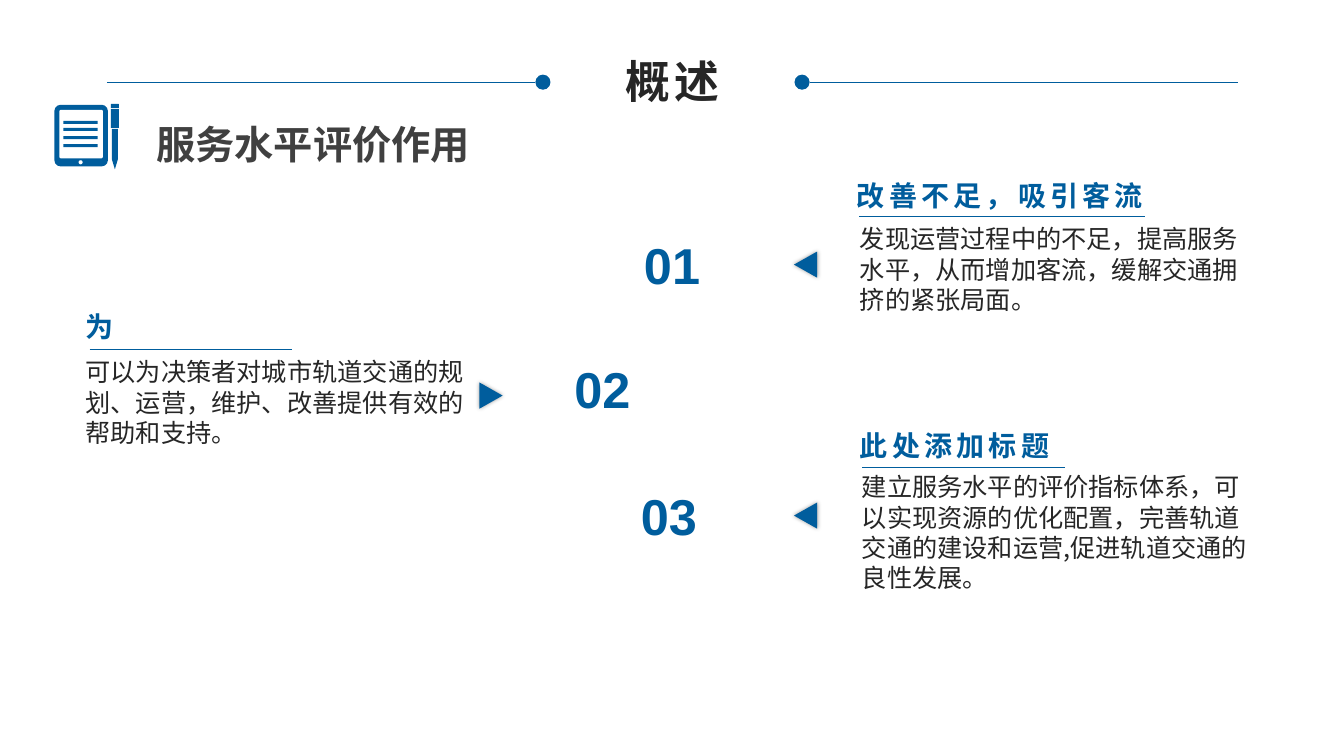
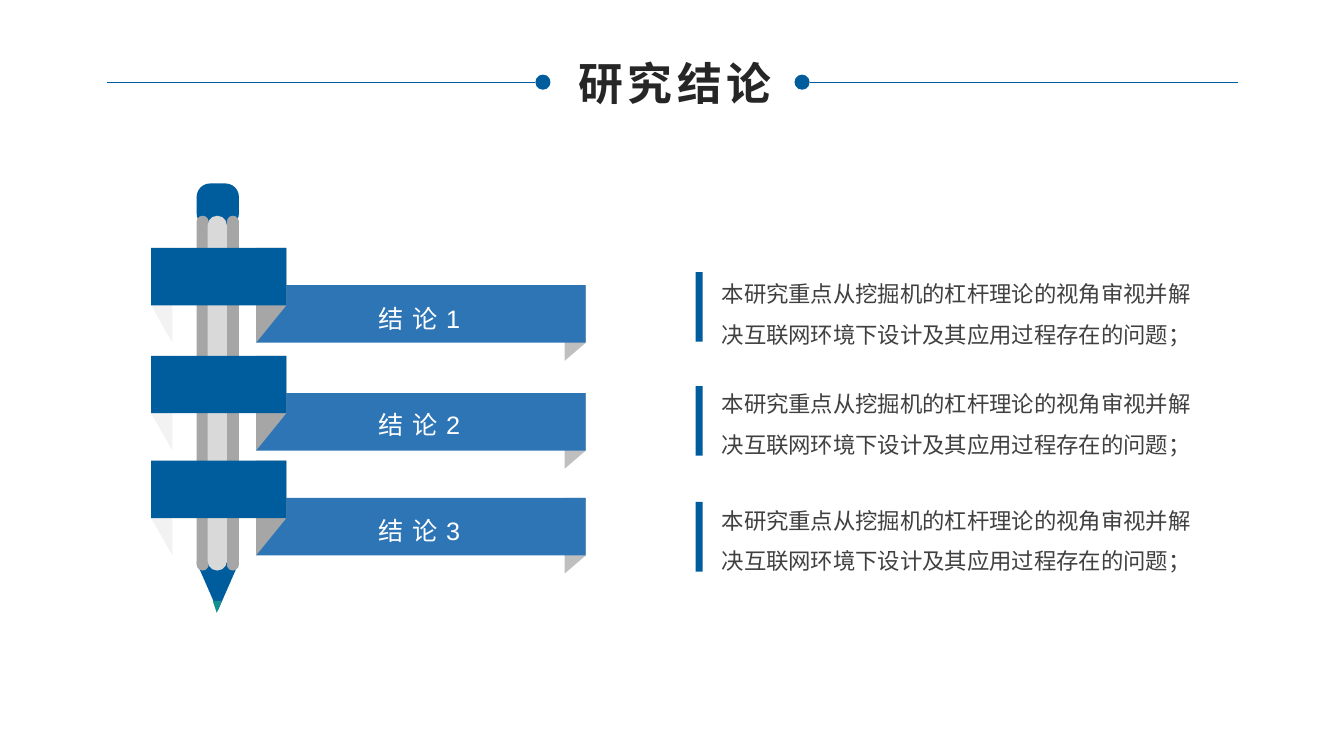
from dataclasses import dataclass

from lxml.etree import SubElement
from pptx import Presentation
from pptx.dml.color import RGBColor
from pptx.enum.shapes import MSO_CONNECTOR, MSO_SHAPE
from pptx.enum.text import MSO_ANCHOR, MSO_AUTO_SIZE, PP_ALIGN
from pptx.oxml.ns import qn
from pptx.shapes.autoshape import Shape
from pptx.slide import Slide
from pptx.util import Emu, Pt

PX = 9144  # EMU per px, 100 px to the inch
BLUE = RGBColor(0x00, 0x5D, 0x9D)
RIBBON_BLUE = RGBColor(0x2E, 0x75, 0xB6)
TEAL = RGBColor(0x13, 0x91, 0x8D)
INK = RGBColor(0x26, 0x26, 0x26)
DARK_GRAY = RGBColor(0x40, 0x40, 0x40)
FOLD_GRAY = RGBColor(0xA6, 0xA6, 0xA6)
TAIL_GRAY = RGBColor(0xBF, 0xBF, 0xBF)
LIGHT_GRAY = RGBColor(0xD9, 0xD9, 0xD9)
PALE_GRAY = RGBColor(0xF2, 0xF2, 0xF2)
WHITE = RGBColor(0xFF, 0xFF, 0xFF)
LATIN = "Arial"
CHINESE = "Noto Sans CJK SC"

Box = tuple[int, int, int, int]
Position = tuple[int, int]


@dataclass(frozen=True)
class TextStyle:
    size: int
    color: RGBColor
    font: str = CHINESE
    bold: bool = False
    tracking: int = 0
    align: PP_ALIGN = PP_ALIGN.LEFT
    line_spacing: float = 1.0
    wrap: bool = True


TITLE = TextStyle(32, INK, LATIN, True, 3, PP_ALIGN.CENTER, wrap=False)
SUBTITLE = TextStyle(28, DARK_GRAY, bold=True, align=PP_ALIGN.CENTER)
NUMBER = TextStyle(36, BLUE, LATIN, True, align=PP_ALIGN.CENTER, wrap=False)
HEADING = TextStyle(20, BLUE, LATIN, True, 3, wrap=False)
BODY = TextStyle(18, INK)
RIBBON_LABEL = TextStyle(18, WHITE, LATIN, tracking=6)
CONCLUSION_BODY = TextStyle(16, DARK_GRAY, line_spacing=1.5)


@dataclass(frozen=True)
class Benefit:
    number: str
    number_at: Position
    arrow_at: Position
    arrow_turn: int
    heading: str
    heading_box: Box
    underline_at: Position
    underline_width: int
    body: str
    body_box: Box


@dataclass(frozen=True)
class Conclusion:
    label: str
    ribbon_top: int
    label_top: int
    bar_top: int
    body_top: int


BENEFITS = (
    Benefit("01", (624, 227), (786, 251), 270,
            "改善不足，吸引客流", (840, 172, 311, 44), (852, 214), 284,
            "发现运营过程中的不足，提高服务水平，从而增加客流，缓解交通拥挤的紧张局面。",
            (843, 217, 417, 101)),
    Benefit("02", (555, 350), (474, 381), 90,
            "为", (75, 302, 52, 44), (89, 346), 201,
            "可以为决策者对城市轨道交通的规划、运营，维护、改善提供有效的帮助和支持。",
            (75, 349, 402, 101)),
    Benefit("03", (621, 476), (786, 500), 270,
            "此处添加标题", (843, 420, 215, 44), (855, 463), 201,
            "建立服务水平的评价指标体系，可以实现资源的优化配置，完善轨道交通的建设和运营,"
            "促进轨道交通的良性发展。",
            (845, 463, 417, 131)),
)
CONCLUSION_TEXT = "本研究重点从挖掘机的杠杆理论的视角审视并解决互联网环境下设计及其应用过程存在的问题；"
CONCLUSIONS = (
    Conclusion("结论1", 246, 296, 270, 260),
    Conclusion("结论2", 353, 401, 383, 369),
    Conclusion("结论3", 457, 506, 498, 485),
)


def place(shape: Shape, box: Box) -> None:
    shape.left, shape.top, shape.width, shape.height = (Emu(v * PX) for v in box)


def write(shape: Shape, text: str, style: TextStyle) -> None:
    frame = shape.text_frame
    frame.text = text
    frame.word_wrap = style.wrap
    frame.auto_size = MSO_AUTO_SIZE.NONE
    frame.vertical_anchor = MSO_ANCHOR.TOP
    para = frame.paragraphs[0]
    para.alignment = style.align
    para.line_spacing = style.line_spacing
    for span in para.runs:
        span.font.size = Pt(style.size)
        span.font.bold = style.bold
        span.font.color.rgb = style.color
        span.font.name = style.font
        properties = span.font._element
        SubElement(properties, qn("a:ea")).set("typeface", CHINESE)
        if style.tracking:
            properties.set("spc", str(style.tracking * 100))


def add_text(page: Slide, box: Box, text: str, style: TextStyle) -> None:
    shape = page.shapes.add_textbox(0, 0, 0, 0)
    place(shape, box)
    write(shape, text, style)


def paint(shape: Shape, color: RGBColor) -> Shape:
    shape.shadow.inherit = False
    shape.fill.solid()
    shape.fill.fore_color.rgb = color
    shape.line.fill.background()
    return shape


def add_figure(page: Slide, kind: MSO_SHAPE, box: Box, color: RGBColor) -> Shape:
    shape = page.shapes.add_shape(kind, *(Emu(v * PX) for v in box))
    return paint(shape, color)


def add_rounded(page: Slide, box: Box, color: RGBColor, rounding: float) -> None:
    shape = add_figure(page, MSO_SHAPE.ROUNDED_RECTANGLE, box, color)
    shape.adjustments[0] = rounding


def add_polygon(page: Slide, points: list[Position], color: RGBColor) -> None:
    builder = page.shapes.build_freeform(*points[0], scale=PX)
    builder.add_line_segments(points[1:], close=True)
    paint(builder.convert_to_shape(), color)


def add_rule(page: Slide, left: int, top: int, width: int) -> None:
    rule = page.shapes.add_connector(
        MSO_CONNECTOR.STRAIGHT, *(Emu(v * PX) for v in (left, top, left + width, top)))
    rule.line.color.rgb = BLUE
    rule.line.width = Pt(0.25)
    SubElement(rule._element.spPr, qn("a:effectLst"))


def add_glow(shape: Shape) -> None:
    """Give the shape a soft, centred black shadow."""
    effects = shape._element.spPr.find(qn("a:effectLst"))
    shadow = SubElement(effects, qn("a:outerShdw"), blurRad=str(Pt(3)), dist="0",
                        dir="0", algn="ctr", rotWithShape="0")
    black = SubElement(shadow, qn("a:srgbClr"), val="000000")
    SubElement(black, qn("a:alpha"), val="40000")


def add_page(deck: Presentation, title: str, title_box: Box) -> Slide:
    """Add a slide with its title between two dotted rules."""
    page = deck.slides.add_slide(deck.slide_layouts.get_by_name("Title Only"))
    for rule_left, dot_left in ((106, 531), (803, 788)):
        add_rule(page, rule_left, 82, 425)
        add_figure(page, MSO_SHAPE.OVAL, (dot_left, 74, 15, 15), BLUE)
    place(page.shapes.title, title_box)
    write(page.shapes.title, title, TITLE)
    return page


def draw_tablet_icon(page: Slide) -> None:
    add_rounded(page, (54, 104, 53, 61), BLUE, 0.11)
    add_rounded(page, (59, 109, 43, 48), WHITE, 0.03)
    add_figure(page, MSO_SHAPE.OVAL, (78, 159, 4, 4), WHITE)
    for row in range(4):
        add_figure(page, MSO_SHAPE.RECTANGLE, (63, 120 + row * 23 // 3, 34, 3), BLUE)
    add_figure(page, MSO_SHAPE.ROUND_2_SAME_RECTANGLE, (110, 103, 8, 4), BLUE)
    add_figure(page, MSO_SHAPE.RECTANGLE, (110, 108, 8, 19), BLUE)
    add_polygon(page, [(111, 128), (117, 128), (117, 158), (114, 168), (111, 158)], BLUE)


def draw_benefit(page: Slide, benefit: Benefit) -> None:
    arrow = add_figure(page, MSO_SHAPE.ISOSCELES_TRIANGLE, (*benefit.arrow_at, 26, 23), BLUE)
    arrow.rotation = benefit.arrow_turn
    add_glow(arrow)
    add_text(page, (*benefit.number_at, 85, 71), benefit.number, NUMBER)
    add_text(page, benefit.heading_box, benefit.heading, HEADING)
    add_rule(page, *benefit.underline_at, benefit.underline_width)
    add_text(page, benefit.body_box, benefit.body, BODY)


def draw_pencil(page: Slide) -> None:
    add_rounded(page, (195, 182, 42, 43), BLUE, 0.32)
    add_polygon(page, [(195, 558), (237, 558), (216, 606)], BLUE)
    add_polygon(page, [(211, 596), (220, 596), (215, 608)], TEAL)
    for left, width, color in ((225, 12, FOLD_GRAY), (195, 12, FOLD_GRAY),
                               (206, 19, LIGHT_GRAY)):
        add_rounded(page, (left, 214, width, 352), color, 0.5)


def draw_ribbon(page: Slide, top: int) -> None:
    """Draw a band round the pencil, with its folds and its long label strip."""
    band, strip_top, strip_bottom = 57, top + 37, top + 94
    add_polygon(page, [(560, strip_bottom + 18), (581, strip_bottom),
                       (581, strip_top), (560, strip_top)], TAIL_GRAY)
    add_figure(page, MSO_SHAPE.RECTANGLE, (254, strip_top, 327, band), RIBBON_BLUE)
    for inner, outer, color in ((171, 150, PALE_GRAY), (254, 284, FOLD_GRAY)):
        add_polygon(page, [(inner, strip_bottom), (outer, top + band),
                           (outer, top), (inner, top)], color)
    add_figure(page, MSO_SHAPE.RECTANGLE, (150, top, 134, band), BLUE)


def draw_conclusion(page: Slide, conclusion: Conclusion) -> None:
    draw_ribbon(page, conclusion.ribbon_top)
    add_text(page, (366, conclusion.label_top, 117, 40), conclusion.label, RIBBON_LABEL)
    add_figure(page, MSO_SHAPE.RECTANGLE, (690, conclusion.bar_top, 7, 69), BLUE)
    add_text(page, (706, conclusion.body_top, 503, 91), CONCLUSION_TEXT, CONCLUSION_BODY)


def main() -> None:
    deck = Presentation()
    deck.slide_width, deck.slide_height = Emu(1333 * PX), Emu(750 * PX)

    overview = add_page(deck, "概述", (608, 48, 118, 64))
    draw_tablet_icon(overview)
    add_text(overview, (142, 114, 337, 57), "服务水平评价作用", SUBTITLE)
    for benefit in BENEFITS:
        draw_benefit(overview, benefit)

    findings = add_page(deck, "研究结论", (561, 50, 217, 64))
    draw_pencil(findings)
    for conclusion in CONCLUSIONS:
        draw_conclusion(findings, conclusion)

    deck.save("out.pptx")


if __name__ == "__main__":
    main()
